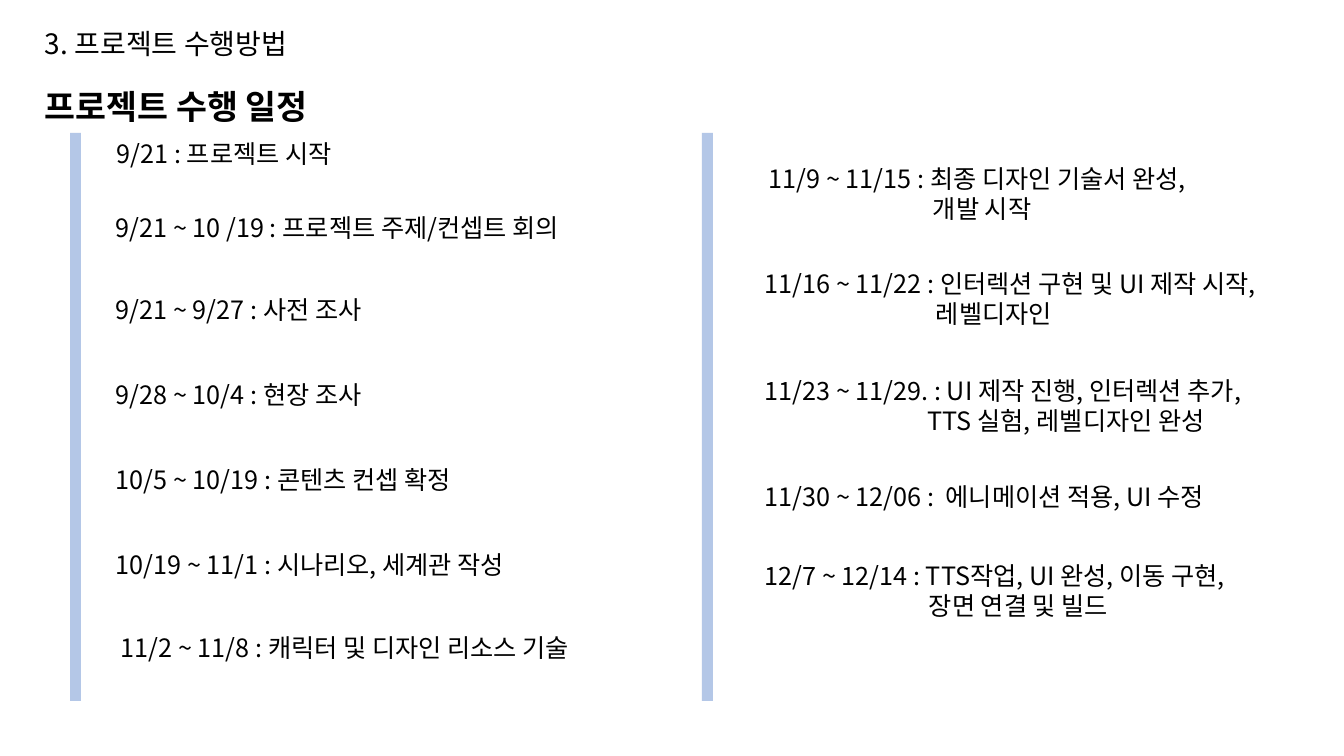
from lxml import etree
from pptx import Presentation
from pptx import util as u
from pptx.dml.color import RGBColor
from pptx.enum import shapes, text
from pptx.oxml import ns

FONT = "Noto Sans CJK KR"
COLORS = {"ink": "000000", "bar": "B4C7E7"}
LINE_HEIGHT = 31

FIRST_HALF = [
    (107, 133, 267, "9/21 : 프로젝트 시작"),
    (106, 207, 524, "9/21 ~ 10 /19 : 프로젝트 주제/컨셉트 회의"),
    (106, 289, 294, "9/21 ~ 9/27 : 사전 조사"),
    (106, 374, 294, "9/28 ~ 10/4 : 현장 조사"),
    (106, 459, 403, "10/5 ~ 10/19 : 콘텐츠 컨셉 확정"),
    (106, 544, 451, "10/19 ~ 11/1 : 시나리오, 세계관 작성"),
    (111, 627, 525, "11/2 ~ 11/8 : 캐릭터 및 디자인 리소스 기술"),
]
SECOND_HALF = [
    (759, 158, 485, "11/9 ~ 11/15 : 최종 디자인 기술서 완성,", "개발 시작", 164),
    (755, 263, 577, "11/16 ~ 11/22 : 인터렉션 구현 및 UI 제작 시작,", "레벨디자인", 171),
    (755, 370, 553, "11/23 ~ 11/29. : UI 제작 진행, 인터렉션 추가,",
     "TTS 실험, 레벨디자인 완성", 163),
    (755, 476, 507, "11/30 ~ 12/06 :  에니메이션 적용, UI 수정"),
    (755, 555, 529, "12/7 ~ 12/14 : TTS작업, UI 완성, 이동 구현,", "장면 연결 및 빌드", 164),
]


def px(length):
    return u.Emu(round(length * 914400 / 100.8))


def style(paragraph, size, bold=False, spacing=None):
    font = paragraph.font
    font.name = FONT
    font.size = u.Pt(size)
    font.bold = bold
    font.color.rgb = RGBColor.from_string(COLORS["ink"])
    properties = paragraph._p.get_or_add_pPr().find(ns.qn("a:defRPr"))
    etree.SubElement(properties, ns.qn("a:ea"), typeface=FONT)
    if spacing:
        paragraph.line_spacing = spacing


def add_label(slide, left, top, width, height, wording, size,
              bold=False, spacing=None, anchor=text.MSO_ANCHOR.TOP):
    frame = slide.shapes.add_textbox(px(left), px(top), px(width), px(height)).text_frame
    frame.word_wrap = True
    frame.vertical_anchor = anchor
    frame.text = wording
    style(frame.paragraphs[0], size, bold, spacing)
    return frame


def add_entry(slide, left, top, width, task, continuation=None, indent=0):
    height = 10 + LINE_HEIGHT * (2 if continuation else 1)
    frame = add_label(slide, left, top, width, height, task, 18)
    if continuation:
        second_line = frame.add_paragraph()
        second_line.text = continuation
        second_line._p.get_or_add_pPr().set("marL", str(px(indent)))
        style(second_line, 18)


def add_bar(slide, left):
    bar = slide.shapes.add_shape(
        shapes.MSO_SHAPE.RECTANGLE, px(left), px(133), px(11), px(568))
    bar.shadow.inherit = False
    bar.fill.solid()
    bar.fill.fore_color.rgb = RGBColor.from_string(COLORS["bar"])
    bar.line.fill.background()


def main():
    deck = Presentation()
    deck.slide_width, deck.slide_height = px(1344), px(756)
    slide = deck.slides.add_slide(deck.slide_layouts[6])
    add_label(slide, 35, 23, 1159, 45, "3. 프로젝트 수행방법", 20,
              spacing=0.9, anchor=text.MSO_ANCHOR.MIDDLE)
    add_label(slide, 35, 61, 316, 64, "프로젝트 수행 일정", 24, bold=True, spacing=1.5)
    for left in (702, 70):
        add_bar(slide, left)
    for entry in FIRST_HALF + SECOND_HALF:
        add_entry(slide, *entry)
    deck.save("out.pptx")


if __name__ == "__main__":
    main()
